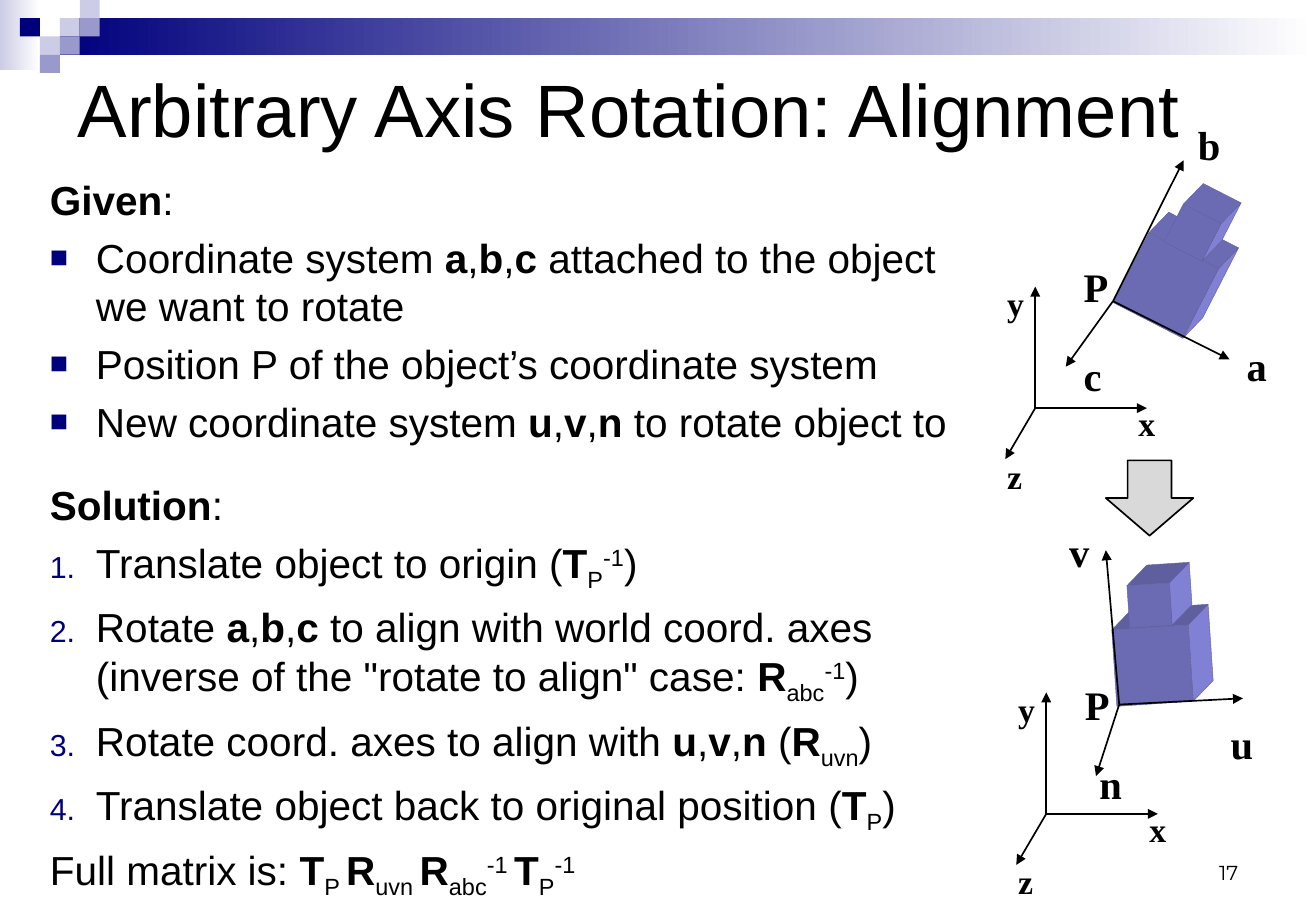
from math import cos, radians, sin
from typing import NamedTuple

from lxml import etree
from pptx import Presentation
from pptx import util as u
from pptx.dml.color import RGBColor
from pptx.enum import shapes, text
from pptx.oxml import ns

COLUMNS, ROWS = 66, 50


class Theme:
    """Colours, fonts and type sizes of the slide."""
    navy, middle, pale, white = "00007D", "9999CC", "CCCCE6", "FFFFFF"
    ink, arrow = "000000", "D9D9D9"
    front, side, top, edge = "6B6BB3", "8080D5", "5F5F9F", "62629F"
    sans, serif, digits = "Arial", "Times New Roman", "Montserrat"
    title, body, axis, number = 44, 24, 20, 12
    gap, section_gap, line = 5.5, 20.4, 1


class Point(NamedTuple):
    """A place in grid columns and rows."""
    column: float
    row: float

    def plus(self, column: float, row: float) -> "Point":
        return Point(self.column + column, self.row + row)


class Box(NamedTuple):
    """A frame in grid columns and rows."""
    column: float
    row: float
    width: float
    height: float


class Axis(NamedTuple):
    """An arrow tip and the corner of its label."""
    name: str
    tip: Point
    label: Point


class Block(NamedTuple):
    """A cube: centre of its front face, and side length in rows."""
    centre: Point
    side: float


class Figure(NamedTuple):
    """An object with its own axes, beside the world axes."""
    world: Point
    position: Point
    position_label: Point
    angle: float
    top_colour: str
    blocks: list[Block]
    axes: list[Axis]


TILES = [(3, 1, Theme.pale), (4, 0, Theme.pale), (4, 1, Theme.middle), (2, 2, Theme.pale),
         (1, 1, Theme.navy), (3, 2, Theme.middle), (2, 3, Theme.middle)]
# In body text * toggles bold, _ subscript and ^ superscript.
BODY = [
    ("", "*Given*:"),
    ("square", "Coordinate system *a*,*b*,*c* attached to the object \nwe want to rotate"),
    ("square", "Position P of the object’s coordinate system"),
    ("square", "New coordinate system *u*,*v*,*n* to rotate object to"),
    ("section", "*Solution*:"),
    ("number", "Translate object to origin (*T*_P_^-1^)"),
    ("number", "Rotate *a*,*b*,*c* to align with world coord. axes\n"
               "(inverse of the \"rotate to align\" case: *R*_abc_^-1^)"),
    ("number", "Rotate coord. axes to align with *u*,*v*,*n* (*R*_uvn_)"),
    ("number", "Translate object back to original position (*T*_P_)"),
    ("", "Full matrix is: *T*_P _*R*_uvn _*R*_abc_^-1 ^*T*_P_^-1^"),
]
WORLD_AXES = [Axis("x", Point(5.6, 0), Point(4.57, -0.6)),
              Axis("y", Point(0, -6.67), Point(-2.01, -7.2)),
              Axis("z", Point(-1.5, 2.8), Point(-2.01, 2.27))]
FIGURES = [
    Figure(Point(52.47, 44.67), Point(56.13, 38.67), Point(53.81, 37), -3.8, Theme.top,
           [Block(Point(57.8, 36.53), 4.2), Block(Point(57.65, 33.23), 2.33)],
           [Axis("v", Point(55.46, 30.2), Point(53.02, 28.6)),
            Axis("u", Point(62.34, 38.33), Point(61.12, 39.13)),
            Axis("n", Point(54.97, 42.6), Point(54.54, 41.33))]),
    Figure(Point(51.92, 22.4), Point(55.82, 16.53), Point(53.75, 14.07), 27.1, Theme.front,
           [Block(Point(58.47, 15.67), 4.3), Block(Point(59.81, 12.77), 2.33)],
           [Axis("b", Point(59.36, 8.8), Point(59.48, 6.27)),
            Axis("a", Point(61.67, 19.73), Point(61.92, 18.4)),
            Axis("c", Point(53.45, 20.13), Point(53.75, 18.93))]),
]

presentation = Presentation()
presentation.slide_width, presentation.slide_height = u.Inches(10.83), u.Inches(7.5)
slide = presentation.slides.add_slide(presentation.slide_layouts[6])
COLUMN, ROW = presentation.slide_width / COLUMNS, presentation.slide_height / ROWS


def emu(place: tuple) -> list[int]:
    """Turn alternating columns and rows into slide units."""
    return [round(value * (ROW if index % 2 else COLUMN)) for index, value in enumerate(place)]


def add_xml(parent, tag: str, **attributes: str):
    """Append a drawing element to its parent."""
    return etree.SubElement(parent, ns.qn(tag), attributes)


def paint(shape, colours: list[str], line: str = "", width: float = Theme.line) -> None:
    """Fill with one colour, or a left-to-right gradient of two, and set the outline."""
    shape.shadow.inherit = False
    if len(colours) == 1:
        shape.fill.solid()
        shape.fill.fore_color.rgb = RGBColor.from_string(colours[0])
    else:
        shape.fill.gradient()
        shape.fill.gradient_angle = 0
        for stop, colour in zip(shape.fill.gradient_stops, colours):
            stop.color.rgb = RGBColor.from_string(colour)
    if line:
        shape.line.color.rgb = RGBColor.from_string(line)
        shape.line.width = u.Pt(width)
    else:
        shape.line.fill.background()


def add_preset(kind, box: Box, colours: list[str], line: str = "") -> None:
    """Draw a preset shape."""
    paint(slide.shapes.add_shape(kind, *emu(box)), colours, line)


def write(paragraph, words: str, *, size: float, font: str = Theme.sans, bold: bool = False,
          align=text.PP_ALIGN.LEFT, before: float = 0) -> None:
    """Write marked-up words into a paragraph."""
    paragraph.alignment, paragraph.space_before = align, u.Pt(before)
    baseline, piece = "", ""
    for sign in words + "\0":
        if sign not in "*_^\n\0":
            piece += sign
            continue
        if piece:
            run = paragraph.add_run()
            run.text, run.font.size, run.font.name, run.font.bold = piece, u.Pt(size), font, bold
            run.font.color.rgb = RGBColor.from_string(Theme.ink)
            if baseline:
                run.font._element.set("baseline", {"_": "-25000", "^": "30000"}[baseline])
            piece = ""
        if sign == "*":
            bold = not bold
        elif sign == "\n":
            paragraph.add_line_break()
        elif sign in "_^":
            baseline = "" if baseline else sign


def add_frame(box: Box, anchor=text.MSO_ANCHOR.TOP):
    """Add a wrapping text box and return its frame."""
    frame = slide.shapes.add_textbox(*emu(box)).text_frame
    frame.word_wrap, frame.vertical_anchor = True, anchor
    return frame


def add_label(words: str, corner: Point, size: float) -> None:
    """Name an axis or a point."""
    write(add_frame(Box(*corner, 3, 3.33)).paragraphs[0], words, size=size,
          font=Theme.serif, bold=True)


def add_arrow(start: Point, end: Point) -> None:
    """Draw an arrow that points at its end."""
    connector = slide.shapes.add_connector(shapes.MSO_CONNECTOR.STRAIGHT, *emu(start + end))
    connector.line.color.rgb = RGBColor.from_string(Theme.ink)
    connector.line.width = u.Pt(Theme.line)
    add_xml(connector.line._get_or_add_ln(), "a:tailEnd", type="triangle")
    add_xml(connector._element.spPr, "a:effectLst")


def add_block(block: Block, angle: float, top_colour: str) -> None:
    """Draw the side, top and front faces of a turned cube."""
    x, y = emu(block.centre)
    half, turn = block.side * ROW / 2, radians(angle)
    along, across = half * cos(turn), half * sin(turn)
    front = [(x + h * along - v * across, y + h * across + v * along)
             for h, v in ((-1, -1), (1, -1), (1, 1), (-1, 1))]
    back = [(px + COLUMN, py - 1.13 * ROW) for px, py in front]
    faces = [([front[1], back[1], back[2], front[2]], Theme.side),
             ([front[0], back[0], back[1], front[1]], top_colour), (front, Theme.front)]
    for corners, colour in faces:
        builder = slide.shapes.build_freeform(*map(round, corners[0]))
        builder.add_line_segments([tuple(map(round, corner)) for corner in corners[1:]])
        paint(builder.convert_to_shape(), [colour], Theme.edge, 0.25)


def add_figure(figure: Figure) -> None:
    """Draw an object, its own axes and the world axes."""
    for block in figure.blocks:
        add_block(block, figure.angle, figure.top_colour)
    for axis in figure.axes:
        add_arrow(figure.position, axis.tip)
        add_label(axis.name, axis.label, Theme.body)
    add_label("P", figure.position_label, Theme.body)
    for axis in WORLD_AXES:
        add_arrow(figure.world, figure.world.plus(*axis.tip))
        add_label(axis.name, figure.world.plus(*axis.label), Theme.axis)


def add_body() -> None:
    """Write the given facts and the solution steps."""
    frame = add_frame(Box(1.9, 9.27, 50, 37.5))
    for index, (kind, words) in enumerate(BODY):
        paragraph = frame.add_paragraph() if index else frame.paragraphs[0]
        write(paragraph, words, size=Theme.body,
              before=Theme.section_gap if kind == "section" else Theme.gap)
        properties = paragraph._p.get_or_add_pPr()
        indent = u.Inches(0.38)
        properties.set("marL", str(indent))
        properties.set("indent", str(-indent))
        if kind in ("square", "number"):
            add_xml(add_xml(properties, "a:buClr"), "a:srgbClr", val=Theme.navy)
            add_xml(properties, "a:buSzPct", val="75000")
            add_xml(properties, "a:buFont", typeface=Theme.sans)
            if kind == "square":
                add_xml(properties, "a:buChar", char="■")
            else:
                add_xml(properties, "a:buAutoNum", type="arabicPeriod")


RECTANGLE = shapes.MSO_SHAPE.RECTANGLE
add_preset(RECTANGLE, Box(0, 0, 2, 3.87), [Theme.pale, Theme.white])
add_preset(RECTANGLE, Box(3, 1, COLUMNS - 3, 2), [Theme.navy, Theme.white])
for column, row, colour in TILES:
    add_preset(RECTANGLE, Box(column, row, 1, 1), [colour])
write(add_frame(Box(3.3, 3.33, 59.4, 5.2), text.MSO_ANCHOR.MIDDLE).paragraphs[0],
      "Arbitrary Axis Rotation: Alignment", size=Theme.title)
add_body()
write(add_frame(Box(47.3, 45.53, 15.4, 3.33), text.MSO_ANCHOR.BOTTOM).paragraphs[0], "17",
      size=Theme.number, font=Theme.digits, align=text.PP_ALIGN.RIGHT)
for figure in FIGURES:
    add_figure(figure)
add_preset(shapes.MSO_SHAPE.DOWN_ARROW, Box(55.46, 25.27, 4.39, 4.13), [Theme.arrow], Theme.ink)
presentation.save("out.pptx")
